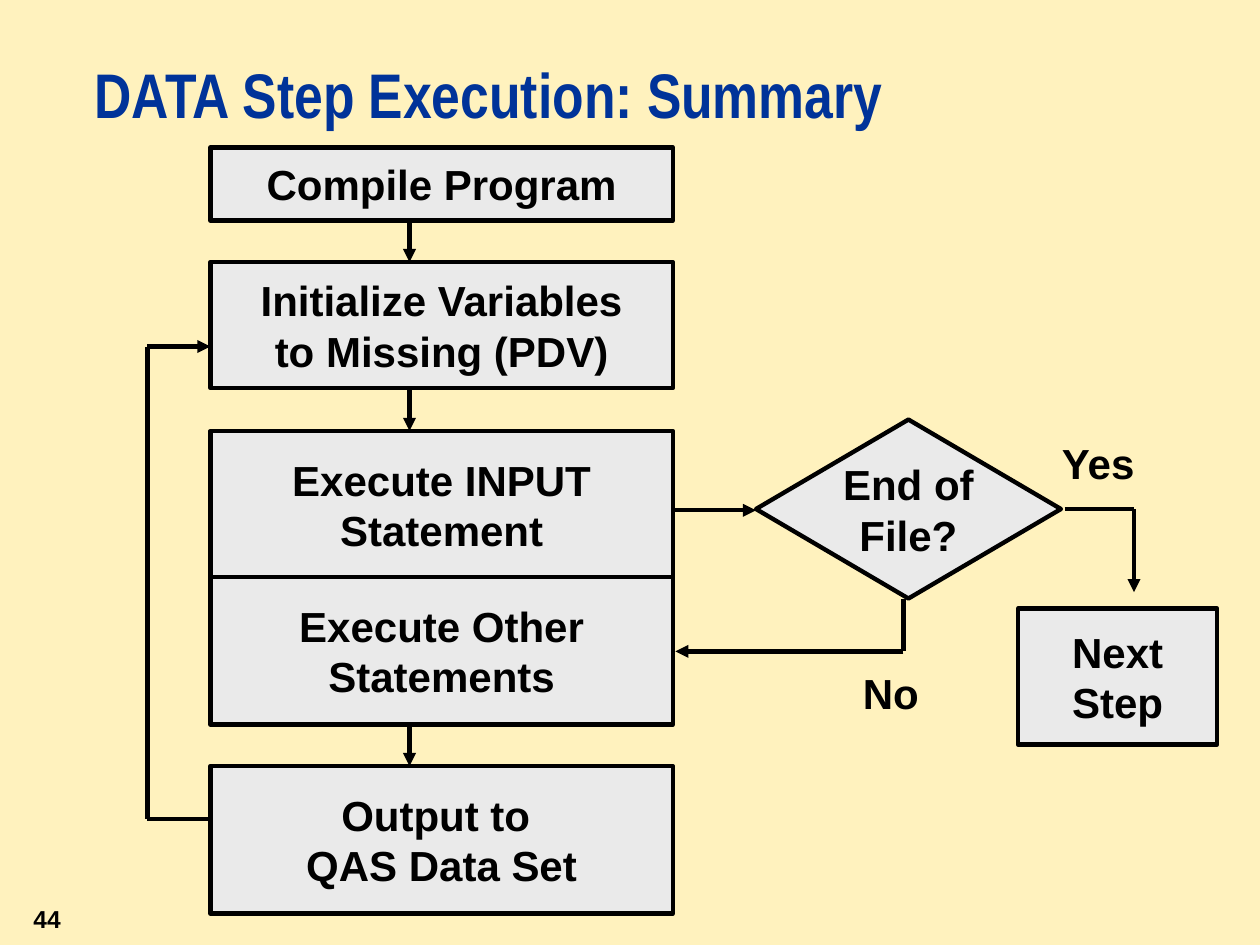
from itertools import pairwise
from lxml.etree import SubElement
from pptx import Presentation
from pptx.dml.color import RGBColor
from pptx.enum.shapes import MSO_CONNECTOR, MSO_SHAPE
from pptx.enum.text import MSO_ANCHOR, PP_ALIGN
from pptx.oxml.ns import qn
from pptx.util import Inches, Pt

COLORS = {"bg": "FFF2BE", "title": "003399", "box": "EAEAEA", "ink": "000000"}

TITLE = "DATA Step Execution: Summary"
STEP_LEFT, STEP_WIDTH, ARROW_X = 1.67, 3.67, 3.25
STEPS = [
    (1.17, 0.58, ["Compile Program"]),
    (2.08, 1.00, ["Initialize Variables", "to Missing (PDV)"]),
    (3.42, 1.17, ["Execute INPUT", "Statement"]),
    (4.58, 1.17, ["Execute Other", "Statements"]),
    (6.08, 1.17, ["Output to ", "QAS Data Set"]),
]
DECISION = (6, 3.33, 2.42, 1.42, ["End of", "File?"])
NEXT_STEP = (8.08, 4.83, 1.58, 1.08, ["Next", "Step"])
LABELS = [
    (6.75, 5.25, 0.75, 0.5, "No"),
    (8.33, 3.42, 0.92, 0.5, "Yes"),
]
ROUTES = [
    [(5.33, 4.05), (6, 4.05)],
    [(7.17, 4.75), (7.17, 5.17), (5.36, 5.17)],
    [(8.45, 4.04), (9, 4.04), (9, 4.7)],
    [(1.67, 6.5), (1.17, 6.5), (1.17, 2.75), (1.67, 2.75)],
]


def rgb(name):
    return RGBColor.from_string(COLORS[name])


def write(tf, lines, size=24, font="Arial", color="ink", align=PP_ALIGN.LEFT,
          anchor=MSO_ANCHOR.TOP, spacing=None):
    tf.word_wrap = True
    tf.vertical_anchor = anchor
    for i, line in enumerate(lines):
        p = tf.paragraphs[0] if i == 0 else tf.add_paragraph()
        p.alignment = align
        p.line_spacing = spacing
        r = p.add_run()
        r.text = line
        r.font.size = Pt(size)
        r.font.name = font
        r.font.bold = True
        r.font.color.rgb = rgb(color)


def add_box(s, kind, left, top, width, height, lines):
    sp = s.shapes.add_shape(kind, *map(Inches, (left, top, width, height)))
    sp.shadow.inherit = False
    sp.fill.solid()
    sp.fill.fore_color.rgb = rgb("box")
    sp.line.color.rgb = rgb("ink")
    sp.line.width = Pt(2.5)
    write(sp.text_frame, lines, align=PP_ALIGN.CENTER, anchor=MSO_ANCHOR.MIDDLE)
    sp.text_frame.word_wrap = False


def add_text(s, left, top, width, height, text, **fmt):
    sp = s.shapes.add_textbox(*map(Inches, (left, top, width, height)))
    write(sp.text_frame, [text], **fmt)


def add_line(s, start, end, arrow):
    c = s.shapes.add_connector(MSO_CONNECTOR.STRAIGHT, *map(Inches, start + end))
    c.line.color.rgb = rgb("ink")
    c.line.width = Pt(2.5)
    if arrow:
        SubElement(c.line._get_or_add_ln(), qn("a:tailEnd"), type="triangle")
    SubElement(c._element.spPr, qn("a:effectLst"))


def add_route(s, points):
    for start, end in pairwise(points):
        add_line(s, start, end, arrow=end == points[-1])


def main():
    prs = Presentation()
    prs.slide_width, prs.slide_height = Inches(10), Inches(7.5)
    s = prs.slides.add_slide(prs.slide_layouts[5])
    s.background.fill.solid()
    s.background.fill.fore_color.rgb = rgb("bg")

    title = s.shapes.title
    title.left, title.top = Inches(0.75), Inches(0.5)
    title.width, title.height = Inches(8.58), Inches(0.75)
    tf = title.text_frame
    tf.margin_left = tf.margin_top = tf.margin_right = tf.margin_bottom = 0
    write(tf, [TITLE], size=36, font="Arial Narrow", color="title", spacing=Pt(39))

    for top, height, lines in STEPS:
        add_box(s, MSO_SHAPE.FLOWCHART_PROCESS, STEP_LEFT, top, STEP_WIDTH, height, lines)
    add_box(s, MSO_SHAPE.FLOWCHART_DECISION, *DECISION)
    add_box(s, MSO_SHAPE.FLOWCHART_PROCESS, *NEXT_STEP)

    for (top, height, _), (next_top, _, _) in pairwise(STEPS):
        if next_top - top - height > 0.1:
            add_route(s, [(ARROW_X, top + height), (ARROW_X, next_top)])
    for points in ROUTES:
        add_route(s, points)

    for label in LABELS:
        add_text(s, *label)
    add_text(s, 0, 7.08, 0.58, 0.42, "44", size=14, align=PP_ALIGN.RIGHT,
             anchor=MSO_ANCHOR.MIDDLE)
    prs.save("out.pptx")


if __name__ == "__main__":
    main()
